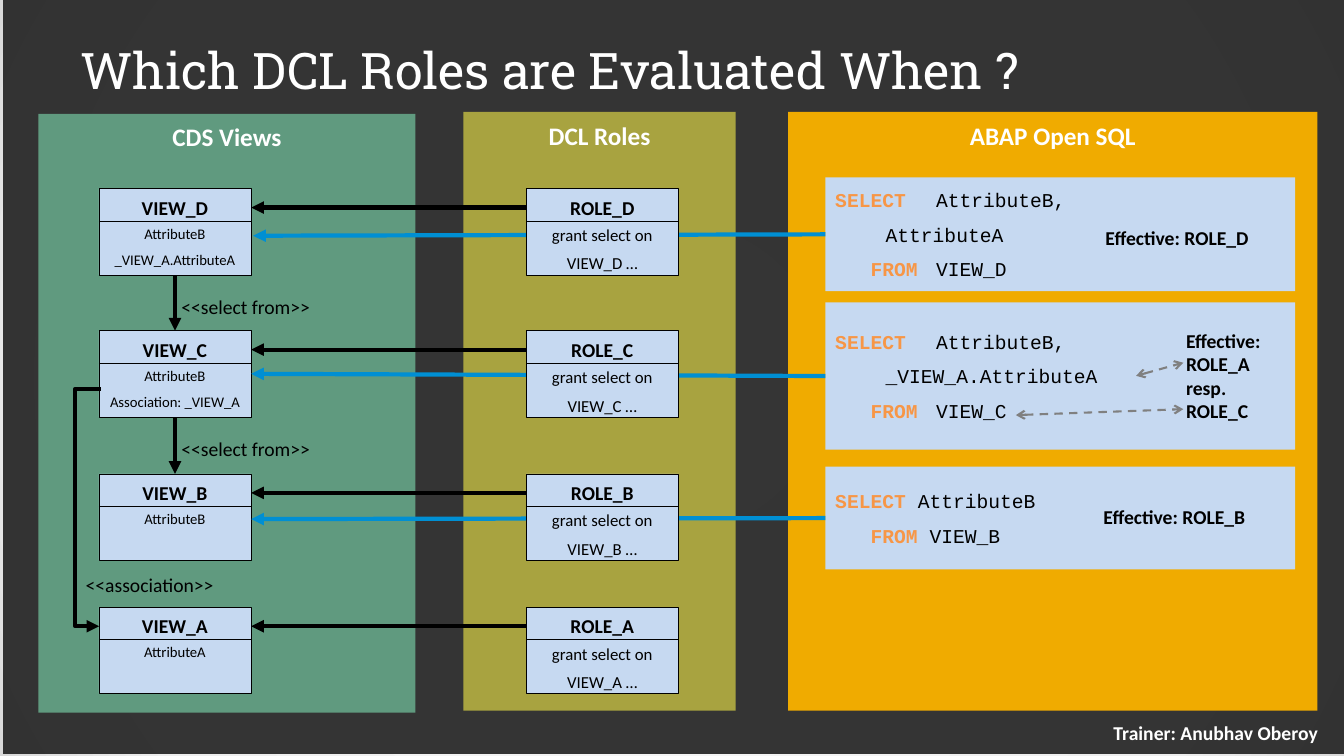
import pptx
import pptx.util
import pptx.oxml
import pptx.oxml.ns
from pptx.dml.color import RGBColor
from pptx.enum.dml import MSO_LINE
from pptx.enum.shapes import MSO_CONNECTOR, MSO_SHAPE
from pptx.enum.text import MSO_ANCHOR, PP_ALIGN
from pptx.util import Cm

COLORS = {
    "veil": "262626", "white": "FFFFFF", "black": "000000", "gray": "808080",
    "sql": "F0AB00", "role": "A8A340", "view": "609A7F", "box": "C6D9F1",
    "blue": "008FD3", "keyword": "F79646",
}
NS = pptx.oxml.ns.nsdecls("a")
CENTER = {"alignment": PP_ALIGN.CENTER}
BODY, CODE, TITLE = "Calibri", "Courier New", "Roboto Slab"

ROWS = {"D": 4.75, "C": 8.33, "B": 11.94, "A": 15.3}
VIEW_X, ROLE_X, SQL_X = 2.49, 13.26, 20.8
BOX_W, BOX_H = 3.84, 2.18
ATTRIBUTES = {
    "D": ["AttributeB", "_VIEW_A.AttributeA"],
    "C": ["AttributeB", "Association: _VIEW_A"],
    "B": ["AttributeB"],
    "A": ["AttributeA"],
}
PANELS = [
    ("ABAP Open SQL", "sql", 19.86, 2.82, 13.34),
    ("DCL Roles", "role", 11.68, 2.82, 6.86),
    ("CDS Views", "view", 0.97, 2.87, 9.5),
]
# Each line of a query: keyword, then the rest
QUERIES = {
    "D": (4.47, 2.87, [("SELECT", " \tAttributeB,"), ("", "\tAttributeA"),
                       ("   FROM", "\tVIEW_D")]),
    "C": (7.62, 3.71, [("SELECT", " \tAttributeB,"), ("", "\t_VIEW_A.AttributeA"),
                       ("   FROM", " \tVIEW_C")]),
    "B": (11.76, 2.59, [("SELECT", " AttributeB"), ("   FROM", " VIEW_B")]),
}
BLUE_ENDS = {"D": (6.38, 5.94), "C": (6.33, 9.42), "B": (6.33, 13.08)}
RESULTS = [
    ("Effective: ROLE_D", 27.61, 5.56, 5.05),
    ("Effective: ROLE_A resp. ROLE_C", 29.64, 8.15, 2.79),
    ("Effective: ROLE_B", 27.56, 12.6, 4.9),
]
LABELS = [("<<select from>>", 4.57, 7.44), ("<<select from>>", 4.57, 11.02),
          ("<<association>>", 2.16, 14.43)]


def assign(target, values):
    for name, value in values.items():
        setattr(target, name, value)


class Painter:
    """Draws styled elements on one slide; lengths are centimetres."""

    def __init__(self, s):
        self.s = s

    def background(self):
        self.s.background.fill.solid()
        fill = self.s.element.xpath(".//p:bgPr/a:solidFill")[0]
        stops = "".join(f'<a:gs pos="{pos}"><a:srgbClr val="{color}"/></a:gs>' for pos, color in
                        [(0, "FFFFFF"), (81000, "EEEEEE"), (100000, "D9D9D9")])
        fill.getparent().replace(fill, pptx.oxml.parse_xml(
            f'<a:gradFill {NS}><a:gsLst>{stops}</a:gsLst><a:path path="circle">'
            '<a:fillToRect l="50000" t="50000" r="50000" b="50000"/></a:path></a:gradFill>'))

    def rect(self, x, y, w, h, color, border=None, alpha=None):
        sp = self.s.shapes.add_shape(MSO_SHAPE.RECTANGLE, Cm(x), Cm(y), Cm(w), Cm(h))
        sp.shadow.inherit = False
        sp.fill.solid()
        sp.fill.fore_color.rgb = RGBColor.from_string(COLORS[color])
        if alpha:
            clr = sp.element.xpath("./p:spPr/a:solidFill/a:srgbClr")[0]
            clr.append(pptx.oxml.parse_xml(f'<a:alpha {NS} val="{alpha * 1000}"/>'))
        if border:
            sp.line.color.rgb = RGBColor.from_string(COLORS["black"])
            sp.line.width = pptx.util.Pt(border)
        else:
            sp.line.fill.background()
        return sp

    def put_lines(self, sp, lines, size, font=BODY, inset=(0, 0), gap=0,
                  anchor=MSO_ANCHOR.TOP, para=None):
        """Fill a shape with lines, each a list of (text, color, bold) runs."""
        tf = sp.text_frame
        dx, dy = (Cm(v) for v in inset)
        assign(tf, {"word_wrap": True, "vertical_anchor": anchor, "margin_left": dx,
                    "margin_right": dx, "margin_top": dy, "margin_bottom": dy})
        for i, runs in enumerate(lines):
            p = tf.add_paragraph() if i else tf.paragraphs[0]
            assign(p, {"alignment": PP_ALIGN.LEFT, **(para or {})})
            if i:
                p.space_before = pptx.util.Pt(gap)
            for text, color, bold in runs:
                r = p.add_run()
                r.text = text
                assign(r.font, {"name": font, "size": pptx.util.Pt(size), "bold": bold})
                r.font.color.rgb = RGBColor.from_string(COLORS[color])

    def text(self, x, y, w, h, lines, size, color="black", bold=False, **style):
        sp = self.s.shapes.add_textbox(Cm(x), Cm(y), Cm(w), Cm(h))
        self.put_lines(sp, [[(line, color, bold)] for line in lines], size, **style)

    def line(self, start, end, color="black", width=3, heads=("tailEnd",), head="triangle",
             kind=MSO_CONNECTOR.STRAIGHT, dash=None):
        c = self.s.shapes.add_connector(kind, *(Cm(v) for v in (*start, *end)))
        c.line.color.rgb = RGBColor.from_string(COLORS[color])
        c.line.width = pptx.util.Pt(width)
        if dash:
            c.line.dash_style = dash
        ln = c.element.xpath("./p:spPr/a:ln")[0]
        for tag in heads:
            ln.append(pptx.oxml.parse_xml(f'<a:{tag} {NS} type="{head}"/>'))
        c.element.spPr.append(pptx.oxml.parse_xml(f"<a:effectLst {NS}/>"))
        return c

    def card(self, x, y, name, details, size):
        """Box with a name above a divider and details below it."""
        sp = self.rect(x, y, BOX_W, BOX_H, "box", border=0.25)
        self.line((x, y + 0.82), (x + BOX_W, y + 0.82), width=0.5, heads=())
        self.text(x, y + 0.18, BOX_W, 0.61, [name], 14, bold=True, para=CENTER)
        self.text(x, y + 0.91, BOX_W, 1.2, details, size, gap=6, para=CENTER)
        return sp

    def query(self, y, h, code):
        sp = self.rect(SQL_X, y, 11.84, h, "box")
        lines = [[run for run in ((key, "keyword", True), (rest, "black", False)) if run[0]]
                 for key, rest in code]
        self.put_lines(sp, lines, 14, CODE, (0.25, 0.2), 8, MSO_ANCHOR.MIDDLE)
        return sp


def main():
    prs = pptx.Presentation()
    prs.slide_width, prs.slide_height = Cm(33.87), Cm(19.05)
    d = Painter(prs.slides.add_slide(prs.slide_layouts[6]))
    d.background()
    d.rect(0.08, -0.05, 33.87, 19.05, "veil", alpha=93)

    middle = {"inset": (0.33, 0.18), "anchor": MSO_ANCHOR.MIDDLE}
    d.text(1.7, 0.76, 30.48, 1.98, ["Which DCL Roles are Evaluated When ?"], 36, "white",
           font=TITLE, **middle)
    d.text(27.53, 17.98, 6.22, 0.99, ["Trainer: Anubhav Oberoy"], 14, "white", True,
           para=CENTER, **middle)
    for title, color, x, y, w in PANELS:
        sp = d.rect(x, y, w, 15.09, color)
        d.put_lines(sp, [[(title, "white", True)]], 18, inset=(0.25, 0.2), para=CENTER)

    views = {key: d.card(VIEW_X, y, f"VIEW_{key}", ATTRIBUTES[key], 10.5)
             for key, y in ROWS.items()}
    for key, (y, h, code) in QUERIES.items():
        sp = d.query(y, h, code)
        c = d.line((SQL_X, y + h / 2), BLUE_ENDS[key], "blue")
        c.begin_connect(sp, 1)
        if key == "C":
            c.end_connect(views[key], 3)
    for key, y in ROWS.items():
        d.card(ROLE_X, y, f"ROLE_{key}", ["grant select on", f"VIEW_{key} …"], 12)
        d.line((ROLE_X, y + 0.48), (VIEW_X + BOX_W, y + 0.48))

    for upper, lower in ("DC", "CB"):
        x = VIEW_X + BOX_W / 2
        c = d.line((x, ROWS[upper] + BOX_H), (x, ROWS[lower]))
        c.begin_connect(views[upper], 2)
        c.end_connect(views[lower], 0)
    association = d.line((2.54, 9.8), (2.5, 15.78), kind=MSO_CONNECTOR.ELBOW)
    geom = association.element.xpath("./p:spPr/a:prstGeom")[0]
    for av in geom.xpath("./a:avLst"):
        geom.remove(av)
    geom.append(pptx.oxml.parse_xml(
        f'<a:avLst {NS}><a:gd name="adj1" fmla="val 1600000"/></a:avLst>'))

    for label, x, y in LABELS:
        d.text(x, y, 4.1, 0.61, [label], 14)
    for result, x, y, w in RESULTS:
        d.text(x, y, w, 0.86, [result], 14, bold=True, inset=(0.25, 0.13))
    for start, end in [((25.6, 10.46), (29.82, 10.31)), ((28.63, 9.47), (29.82, 9.14))]:
        d.line(start, end, "gray", 1.5, ("headEnd", "tailEnd"), "arrow", dash=MSO_LINE.DASH)
    prs.save("out.pptx")


if __name__ == "__main__":
    main()
